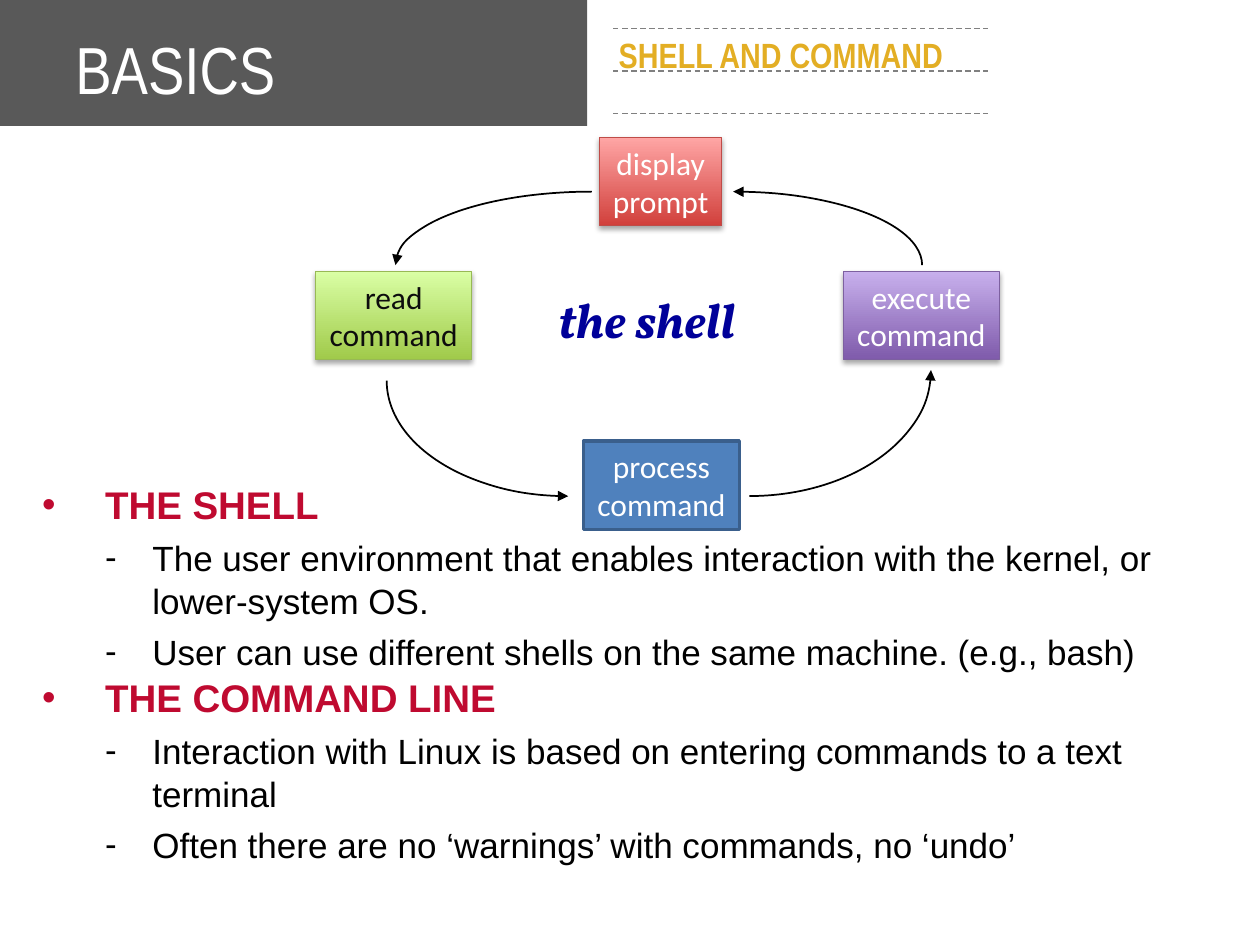
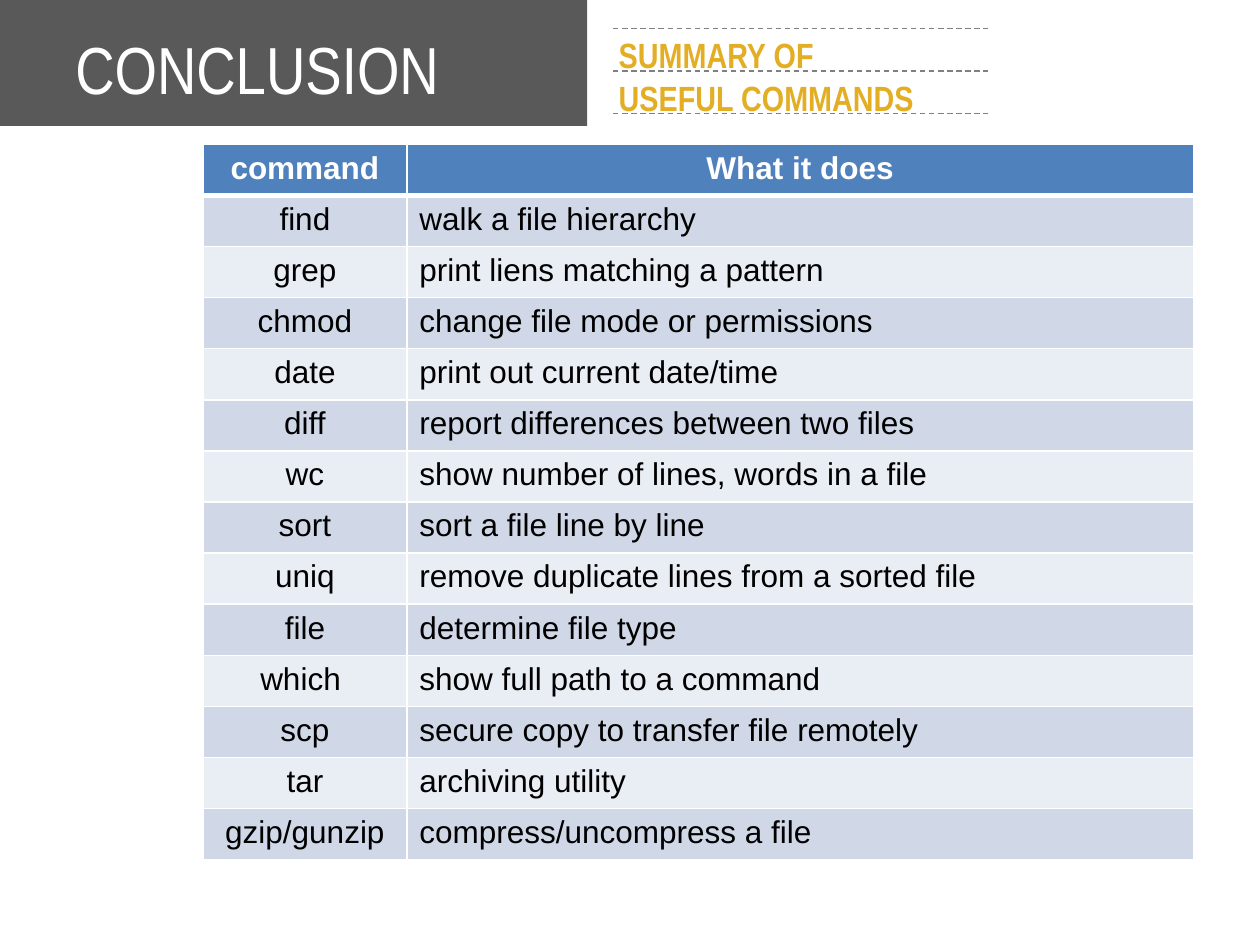
"""Build two slides on the shell: its cycle and a summary of commands."""
from dataclasses import dataclass
from typing import Any

import lxml.etree
import pptx
import pptx.dml.color
import pptx.enum.dml
import pptx.enum.shapes
import pptx.enum.text
import pptx.oxml.ns
import pptx.util

Pt = pptx.util.Pt
Align = pptx.enum.text.PP_ALIGN
Anchor = pptx.enum.text.MSO_ANCHOR
Shape = pptx.enum.shapes.MSO_SHAPE

GREY, RULE, GOLD, RED = "595959", "808080", "E3AE24", "BF0A30"
WHITE, BLACK, NAVY, BLUE = "FFFFFF", "000000", "000099", "4F81BD"
BANDS = ("D0D8E8", "E9EDF4")


@dataclass(frozen=True)
class Box:
    """A place on the slide in points."""
    left: float
    top: float
    width: float
    height: float

    def args(self) -> list[Any]:
        """Give the four lengths in order."""
        return [Pt(n) for n in (self.left, self.top, self.width, self.height)]


@dataclass(frozen=True)
class Font:
    """The look of a run."""
    name: str
    size: float
    color: str
    bold: bool = False
    slant: bool = False


@dataclass(frozen=True)
class Level:
    """The look of a list level."""
    mark: str
    left: float
    hang: float
    space: float
    font: Font


@dataclass(frozen=True)
class Step:
    """A step in the cycle; two fills make a gradient from the bottom up."""
    text: str
    box: Box
    fills: tuple[str, ...]
    edge: str
    weight: float = 0.75
    color: str = WHITE


@dataclass(frozen=True)
class Arc:
    """A quarter turn, clockwise from its arrowhead."""
    box: Box
    start: int


TITLE = Font("Arial Narrow", 38, WHITE)
TOPIC = Font("Arial Narrow", 20, GOLD, bold=True)
HUB = Font("Vollkorn", 28, NAVY, bold=True, slant=True)
CELL = Font("Arial", 18, BLACK)
HEADER = Font("Arial", 18, WHITE, bold=True)
LEVELS = (
    Level("•", 36, 36, 0, Font("Arial", 22, RED, bold=True)),
    Level("-", 63, 27, 4, Font("Arial", 20, BLACK)),
)

NOTES = (
    (0, "THE SHELL"),
    (1, "The user environment that enables interaction with the kernel, or lower-system OS."),
    (1, "User can use different shells on the same machine. (e.g., bash)"),
    (0, "THE COMMAND LINE"),
    (1, "Interaction with Linux is based on entering commands to a text terminal"),
    (1, "Often there are no ‘warnings’ with commands, no ‘undo’"),
)
STEPS = (
    Step("display\nprompt", Box(342.5, 78.5, 70, 50.5), ("D1403C", "FFA6A5"), "BF4C48"),
    Step("execute\ncommand", Box(482, 155, 89, 50.5), ("7F5BAB", "C8B0ED"), "7D60A0"),
    Step("process\ncommand", Box(333.5, 252, 89, 50.5), (BLUE,), "3A5F8C", 2),
    Step("read\ncommand", Box(180.5, 155, 89, 50.5), ("A0CA4A", "DAFFA5"), "98B955",
         color="0D0D0D"),
)
ARCS = (
    Arc(Box(311, 109.5, 216, 84), 270),
    Arc(Box(226, 109.5, 224.5, 84), 180),
    Arc(Box(221, 151.5, 207.5, 132), 90),
    Arc(Box(324.5, 139.5, 207.5, 144), 0),
)
ROWS = (
    ("command", "What it does"),
    ("find", "walk a file hierarchy"),
    ("grep", "print liens matching a pattern"),
    ("chmod", "change file mode or permissions"),
    ("date", "print out current date/time"),
    ("diff", "report differences between two files"),
    ("wc", "show number of lines, words in a file"),
    ("sort", "sort a file line by line"),
    ("uniq", "remove duplicate lines from a sorted file"),
    ("file", "determine file type"),
    ("which ", "show full path to a command"),
    ("scp", "secure copy to transfer file remotely"),
    ("tar", "archiving utility"),
    ("gzip/gunzip", "compress/uncompress a file"),
)


def paint(item: Any, code: str) -> None:
    """Set a colour format from a hex string."""
    item.rgb = pptx.dml.color.RGBColor.from_string(code)


def flood(fill: Any, code: str) -> None:
    """Make a fill solid in one colour."""
    fill.solid()
    paint(fill.fore_color, code)


def stroke(line: Any, code: str, weight: float) -> None:
    """Set the colour and weight of a line."""
    flood(line.fill, code)
    line.width = Pt(weight)


def node(root: Any, tag: str, **attrs: Any) -> Any:
    """Add a drawing element under root."""
    return lxml.etree.SubElement(root, pptx.oxml.ns.qn(f"a:{tag}"),
                                 {key: str(val) for key, val in attrs.items()})


def style(para: Any, font: Font) -> None:
    """Give each run of a paragraph one look."""
    for run in para.runs:
        run.font.name, run.font.size = font.name, Pt(font.size)
        run.font.bold, run.font.italic = font.bold, font.slant
        paint(run.font.color, font.color)


def write(frame: Any, text: str, font: Font, align: Any = Align.LEFT,
          pitch: float = 1.0) -> None:
    """Fill a text frame, one paragraph a line."""
    frame.text = text
    for para in frame.paragraphs:
        para.alignment, para.line_spacing = align, pitch
        style(para, font)


def label(slide: Any, box: Box, anchor: Any = Anchor.TOP) -> Any:
    """Add a wrapped text box and return its frame."""
    frame = slide.shapes.add_textbox(*box.args()).text_frame
    frame.word_wrap, frame.vertical_anchor = True, anchor
    return frame


def start(deck: Any, title: str, topic: str) -> Any:
    """Add a slide with the shared band, rules and titles."""
    slide = deck.slides.add_slide(deck.slide_layouts[6])
    band = slide.shapes.add_shape(Shape.RECTANGLE, *Box(0, 0, 335.5, 72).args())
    band.shadow.inherit = False
    flood(band.fill, GREY)
    band.line.fill.background()
    for row in range(3):
        top = Pt(16.3 + 24.25 * row)
        rule = slide.shapes.add_connector(pptx.enum.shapes.MSO_CONNECTOR.STRAIGHT,
                                          Pt(350.5), top, Pt(564.5), top)
        stroke(rule.line, RULE, 0.75)
        rule.line.dash_style = pptx.enum.dml.MSO_LINE.DASH
        node(rule._element.spPr, "effectLst")
    write(label(slide, Box(36, 13, 299.5, 52), Anchor.BOTTOM), title, TITLE, pitch=0.8)
    write(label(slide, Box(346.5, 14.5, 338, 56)), topic, TOPIC, pitch=1.04)
    return slide


def outline(slide: Any) -> None:
    """Add the two-level list of notes."""
    frame = label(slide, Box(17, 270.5, 703, 252))
    frame.text = "\n".join(text for _, text in NOTES)
    for para, (depth, _) in zip(frame.paragraphs, NOTES):
        level = LEVELS[depth]
        props = para._p.get_or_add_pPr()
        props.set("marL", str(Pt(level.left)))
        props.set("indent", str(-Pt(level.hang)))
        node(props, "buFont", typeface="Arial")
        node(props, "buChar", char=level.mark)
        para.line_spacing = 1.04
        para.space_before = Pt(level.space)
        style(para, level.font)


def shade(shape: Any) -> None:
    """Cast a soft shadow straight down."""
    cast = node(shape._element.spPr.find(pptx.oxml.ns.qn("a:effectLst")), "outerShdw",
                blurRad=Pt(3.1), dist=Pt(1.8), dir=5400000, rotWithShape=0)
    node(node(cast, "srgbClr", val=BLACK), "alpha", val=35000)


def draw(slide: Any, step: Step) -> None:
    """Add one step of the cycle."""
    shape = slide.shapes.add_shape(Shape.RECTANGLE, *step.box.args())
    shape.shadow.inherit = False
    if len(step.fills) == 1:
        flood(shape.fill, step.fills[0])
    else:
        shape.fill.gradient()
        shape.fill.gradient_angle = 90
        for stop, code, place in zip(shape.fill.gradient_stops, step.fills, (0, 1)):
            paint(stop.color, code)
            stop.position = place
        shade(shape)
    stroke(shape.line, step.edge, step.weight)
    shape.text_frame.word_wrap = False
    write(shape.text_frame, step.text, Font("Calibri", 18, step.color), Align.CENTER)


def sweep(slide: Any, arc: Arc) -> None:
    """Add one curved arrow of the cycle."""
    shape = slide.shapes.add_shape(Shape.ARC, *arc.box.args())
    shape.shadow.inherit = False
    shape.adjustments[0] = arc.start * 0.6
    shape.adjustments[1] = (arc.start + 90) % 360 * 0.6
    shape.fill.background()
    stroke(shape.line, BLACK, 1)
    node(shape.line._get_or_add_ln(), "headEnd", type="triangle")


def border(cell: Any, top: float, bottom: float) -> None:
    """Rule the four sides of a cell in white."""
    props = cell._tc.get_or_add_tcPr()
    for side, weight in (("L", 1), ("R", 1), ("T", top), ("B", bottom)):
        edge = node(props, f"ln{side}", w=Pt(weight))
        node(node(edge, "solidFill"), "srgbClr", val=WHITE)


def grid(slide: Any) -> None:
    """Add the table of commands."""
    box = Box(116, 82.5, 566, 409)
    table = slide.shapes.add_table(len(ROWS), 2, *box.args()).table
    for col, width in zip(table.columns, (116.5, 449.5)):
        col.width = Pt(width)
    for row, texts in enumerate(ROWS):
        table.rows[row].height = Pt(box.height / len(ROWS))
        for col, text in enumerate(texts):
            cell = table.cell(row, col)
            border(cell, 3 if row == 1 else 1, 3 if row == 0 else 1)
            flood(cell.fill, BANDS[(row - 1) % 2] if row else BLUE)
            write(cell.text_frame, text, CELL if row else HEADER,
                  Align.LEFT if row and col else Align.CENTER)


def main() -> None:
    """Build and save the deck."""
    deck = pptx.Presentation()
    deck.slide_width, deck.slide_height = Pt(720), Pt(540)
    basics = start(deck, "BASICS", "SHELL AND COMMAND")
    outline(basics)
    for step in STEPS:
        draw(basics, step)
    for arc in ARCS:
        sweep(basics, arc)
    write(label(basics, Box(312, 162, 134.5, 41), Anchor.MIDDLE), "the shell", HUB)
    grid(start(deck, "CONCLUSION", "SUMMARY OF\nUSEFUL COMMANDS"))
    deck.save("out.pptx")


if __name__ == "__main__":
    main()
